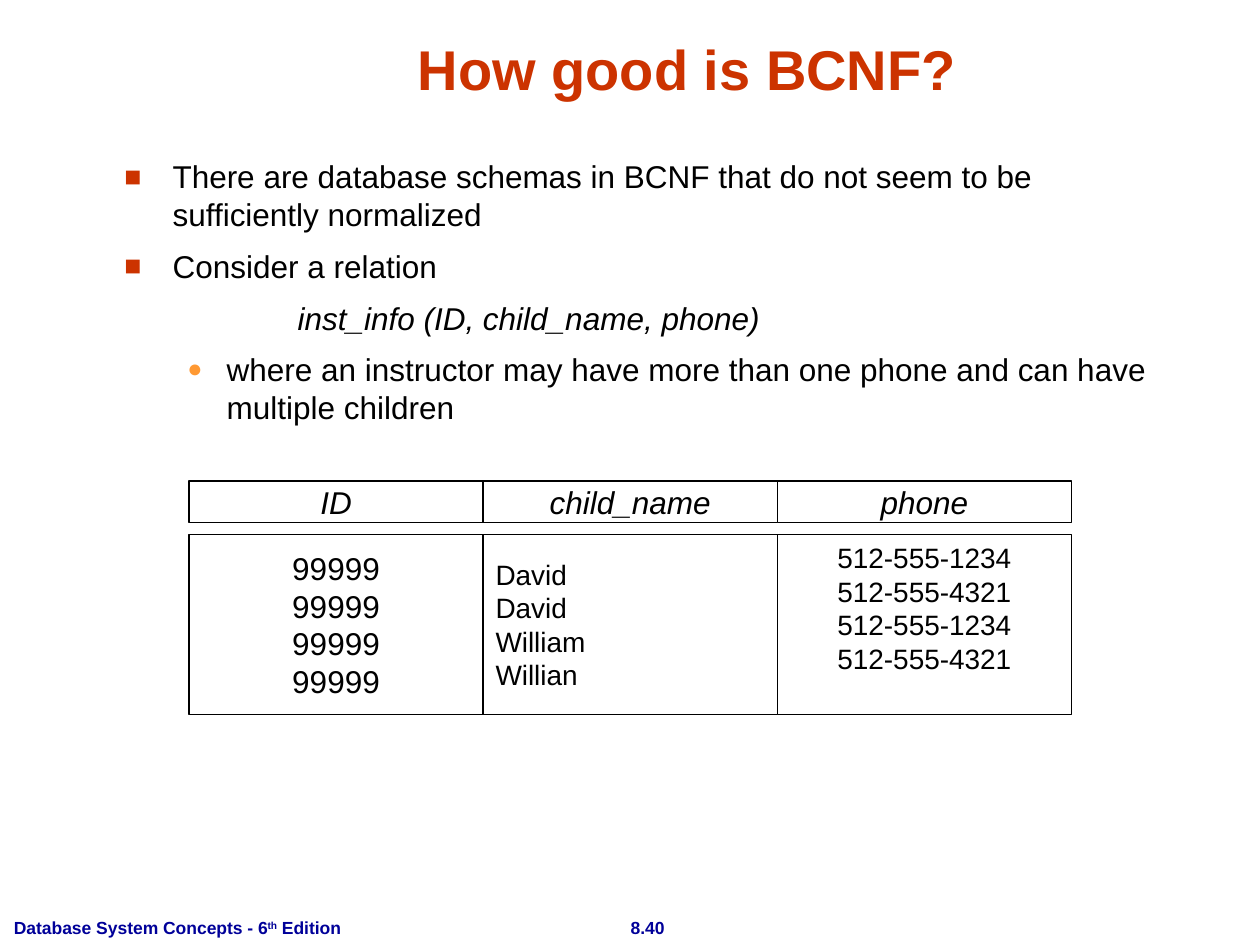
from dataclasses import dataclass

from lxml.etree import SubElement
from pptx import Presentation
from pptx.dml.color import RGBColor as Rgb
from pptx.enum.shapes import MSO_SHAPE as Shape
from pptx.enum.text import MSO_ANCHOR as Anchor, MSO_AUTO_SIZE as Auto, PP_ALIGN as Align
from pptx.oxml.ns import qn
from pptx.util import Cm, Pt


@dataclass(frozen=True)
class Theme:
    font: str = "Arial"
    red: str = "CC3300"
    gold: str = "FF9933"
    navy: str = "000099"
    ink: str = "000000"
    white: str = "FFFFFF"
    head: int = 32
    body: int = 18
    cell: int = 16
    foot: int = 10


theme = Theme()


def add_run(para, text, size, color, bold=False, slant=False):
    run = para.add_run()
    run.text = text
    font = run.font
    font.name, font.size = theme.font, Pt(size)
    font.bold, font.italic = bold, slant
    font.color.rgb = Rgb.from_string(color)
    return run


def add_mark(para, char, color, size):
    props = para._p.get_or_add_pPr()
    fill = SubElement(props, qn("a:buClr"))
    SubElement(fill, qn("a:srgbClr"), val=color)
    SubElement(props, qn("a:buSzPct"), val=str(size * 1000))
    SubElement(props, qn("a:buFont"), typeface=theme.font)
    SubElement(props, qn("a:buChar"), char=char)


deck = Presentation()
deck.slide_width, deck.slide_height = Cm(25.4), Cm(19.05)
slide = deck.slides.add_slide(deck.slide_layouts[5])
shapes = slide.shapes

feet = [
    (0.03, 7.6, Align.LEFT, [("Database System Concepts - 6", 0), ("th", 30), (" Edition", 0)]),
    (11.81, 2.49, Align.CENTER, [("8.40", 0)]),
]
for left, width, align, parts in feet:
    box = shapes.add_textbox(Cm(left), Cm(18.37), Cm(width), Cm(0.68))
    box.text_frame.word_wrap = True
    para = box.text_frame.paragraphs[0]
    para.alignment = align
    for text, rise in parts:
        run = add_run(para, text, theme.foot, theme.navy, bold=True)
        if rise:
            run.font._element.set("baseline", str(rise * 1000))

title = shapes.title
title.left, title.top, title.width, title.height = Cm(3.96), Cm(0.43), Cm(19.79), Cm(1.75)
frame = title.text_frame
frame.auto_size = Auto.NONE
frame.vertical_anchor = Anchor.BOTTOM
para = frame.paragraphs[0]
para.alignment = Align.CENTER
add_run(para, "How good is BCNF?", theme.head, theme.red, bold=True)

square = ("■", theme.red, 90)
dot = ("●", theme.gold, 80)
points = [
    ("There are database schemas in BCNF that do not seem to be sufficiently normalized",
     0, 0.97, -0.97, square),
    ("Consider a relation", 0, 0.97, -0.97, square),
    ("inst_info (ID, child_name, phone)", 0, 3.49, 0, None),
    ("where an instructor may have more than one phone and can have multiple children",
     1, 2.06, -0.79, dot),
]
body = shapes.add_textbox(Cm(2.26), Cm(3.05), Cm(21.29), Cm(13.61))
frame = body.text_frame
frame.word_wrap = True
for row, (text, level, left, hang, mark) in enumerate(points):
    para = frame.add_paragraph() if row else frame.paragraphs[0]
    para.level = level
    if row:
        para.space_before = Pt(7.9)
    props = para._p.get_or_add_pPr()
    props.set("marL", str(Cm(left)))
    props.set("indent", str(Cm(hang)))
    if mark:
        add_mark(para, *mark)
    add_run(para, text, theme.body, theme.ink, slant=mark is None)

names = ["ID", "child_name", "phone"]
lists = [
    ["99999"] * 4,
    ["David", "David", "William", "Willian"],
    ["512-555-1234", "512-555-4321"] * 2,
]
sizes = [theme.body, theme.cell, theme.cell]
sides = [Align.CENTER, Align.LEFT, Align.CENTER]
gaps = [0.13, 0.13, 0.8]
wide = 5.93
cells = [(col, 9.7, 0.84, [name], theme.body, Align.CENTER, 0.13, True)
         for col, name in enumerate(names)]
cells += [(col, 10.77, 3.64, *rest, False)
          for col, rest in enumerate(zip(lists, sizes, sides, gaps))]
for col, top, high, lines, size, align, gap, slant in cells:
    cell = shapes.add_shape(Shape.RECTANGLE, Cm(3.81 + col * wide), Cm(top), Cm(wide), Cm(high))
    cell.shadow.inherit = False
    cell.fill.solid()
    cell.fill.fore_color.rgb = Rgb.from_string(theme.white)
    cell.line.color.rgb = Rgb.from_string(theme.ink)
    cell.line.width = Pt(0.75)
    frame = cell.text_frame
    frame.word_wrap = False
    frame.vertical_anchor = Anchor.MIDDLE
    frame.margin_bottom = Cm(gap)
    for row, text in enumerate(lines):
        para = frame.add_paragraph() if row else frame.paragraphs[0]
        para.alignment = align
        add_run(para, text, size, theme.ink, slant=slant)

deck.save("out.pptx")
